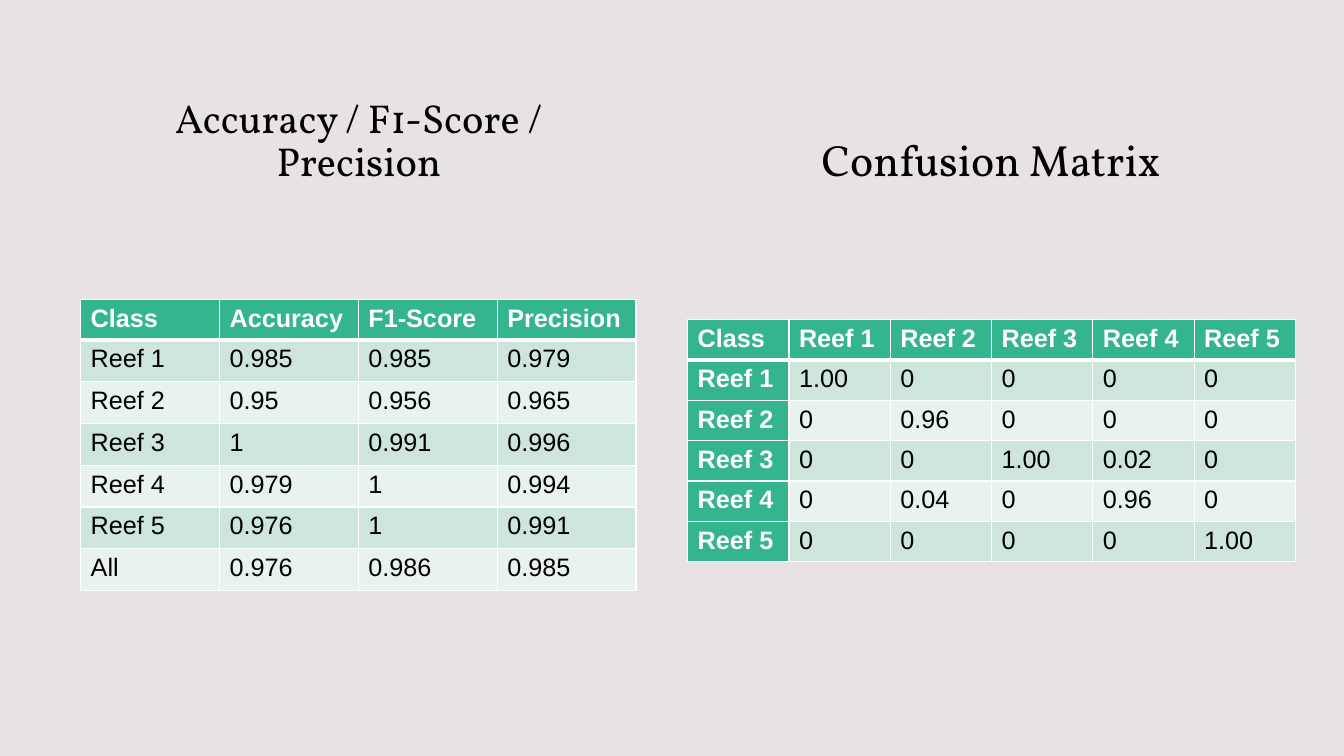
from pptx import Presentation
from pptx.dml.color import RGBColor
from pptx.enum.text import MSO_ANCHOR, PP_ALIGN
from pptx.oxml import parse_xml
from pptx.oxml.ns import nsdecls
from pptx.util import Inches, Pt

GREEN, MINT, PALE = "34B48F", "CEE5DB", "E8F2EE"
WHITE, BLACK, BACKDROP = "FFFFFF", "000000", "E8E2E4"

SCORES = [
    ["Class", "Accuracy", "F1-Score", "Precision"],
    ["Reef 1", "0.985", "0.985", "0.979"],
    ["Reef 2", "0.95", "0.956", "0.965"],
    ["Reef 3", "1", "0.991", "0.996"],
    ["Reef 4", "0.979", "1", "0.994"],
    ["Reef 5", "0.976", "1", "0.991"],
    ["All", "0.976", "0.986", "0.985"],
]
CONFUSION = [
    ["Class", "Reef 1", "Reef 2", "Reef 3", "Reef 4", "Reef 5"],
    ["Reef 1", "1.00", "0", "0", "0", "0"],
    ["Reef 2", "0", "0.96", "0", "0", "0"],
    ["Reef 3", "0", "0", "1.00", "0.02", "0"],
    ["Reef 4", "0", "0.04", "0", "0.96", "0"],
    ["Reef 5", "0", "0", "0", "0", "1.00"],
]


def rgb(color):
    return RGBColor.from_string(color)


def set_borders(cell, bottom, top):
    widths = {"lnL": 1, "lnR": 1, "lnT": top, "lnB": bottom}
    properties = cell._tc.get_or_add_tcPr()
    for position, (edge, width) in enumerate(widths.items()):
        properties.insert(position, parse_xml(
            f'<a:{edge} {nsdecls("a")} w="{Pt(width)}"><a:solidFill>'
            f'<a:srgbClr val="{WHITE}"/></a:solidFill></a:{edge}>'))


def add_heading(slide, wording, left, top, width, height, size):
    heading = slide.shapes.add_textbox(
        Inches(left), Inches(top), Inches(width), Inches(height))
    frame = heading.text_frame
    frame.word_wrap = True
    frame.vertical_anchor = MSO_ANCHOR.BOTTOM
    line = frame.paragraphs[0]
    line.text = wording
    line.alignment = PP_ALIGN.CENTER
    line.line_spacing = 0.9
    line.font.name = "Vollkorn"
    line.font.size = Pt(size)
    line.font.color.rgb = rgb(BLACK)


def add_results(slide, results, left, top, width, row_height, class_headers):
    header_height = 0.38
    height = header_height + row_height * (len(results) - 1)
    grid = slide.shapes.add_table(
        len(results), len(results[0]), Inches(left), Inches(top),
        Inches(width), Inches(height)).table
    grid.first_col = class_headers
    for row_index, values in enumerate(results):
        grid.rows[row_index].height = Inches(row_height if row_index else header_height)
        for column_index, value in enumerate(values):
            cell = grid.cell(row_index, column_index)
            is_header = row_index == 0 or (class_headers and column_index == 0)
            band = MINT if row_index % 2 else PALE
            cell.fill.solid()
            cell.fill.fore_color.rgb = rgb(GREEN if is_header else band)
            set_borders(cell, bottom=1 if row_index else 3,
                        top=3 if row_index == 1 else 1)
            cell.text = value
            font = cell.text_frame.paragraphs[0].font
            font.name = "Arial"
            font.size = Pt(18)
            font.bold = is_header
            font.color.rgb = rgb(WHITE if is_header else BLACK)


def build_comparison(slide):
    slide.background.fill.solid()
    slide.background.fill.fore_color.rgb = rgb(BACKDROP)
    add_heading(slide, "Accuracy / F1-Score / Precision", 0.93, 0.92, 5.26, 0.97, 28.8)
    add_results(slide, SCORES, 0.8, 2.97, 5.51, 0.415, False)
    add_heading(slide, "Confusion Matrix", 7.2, 0.92, 5.26, 0.97, 31.2)
    add_results(slide, CONFUSION, 6.82, 3.17, 6.03, 0.39, True)


def main():
    deck = Presentation()
    deck.slide_width = Inches(13.33)
    deck.slide_height = Inches(7.5)
    build_comparison(deck.slides.add_slide(deck.slide_layouts[6]))
    deck.save("out.pptx")


if __name__ == "__main__":
    main()
